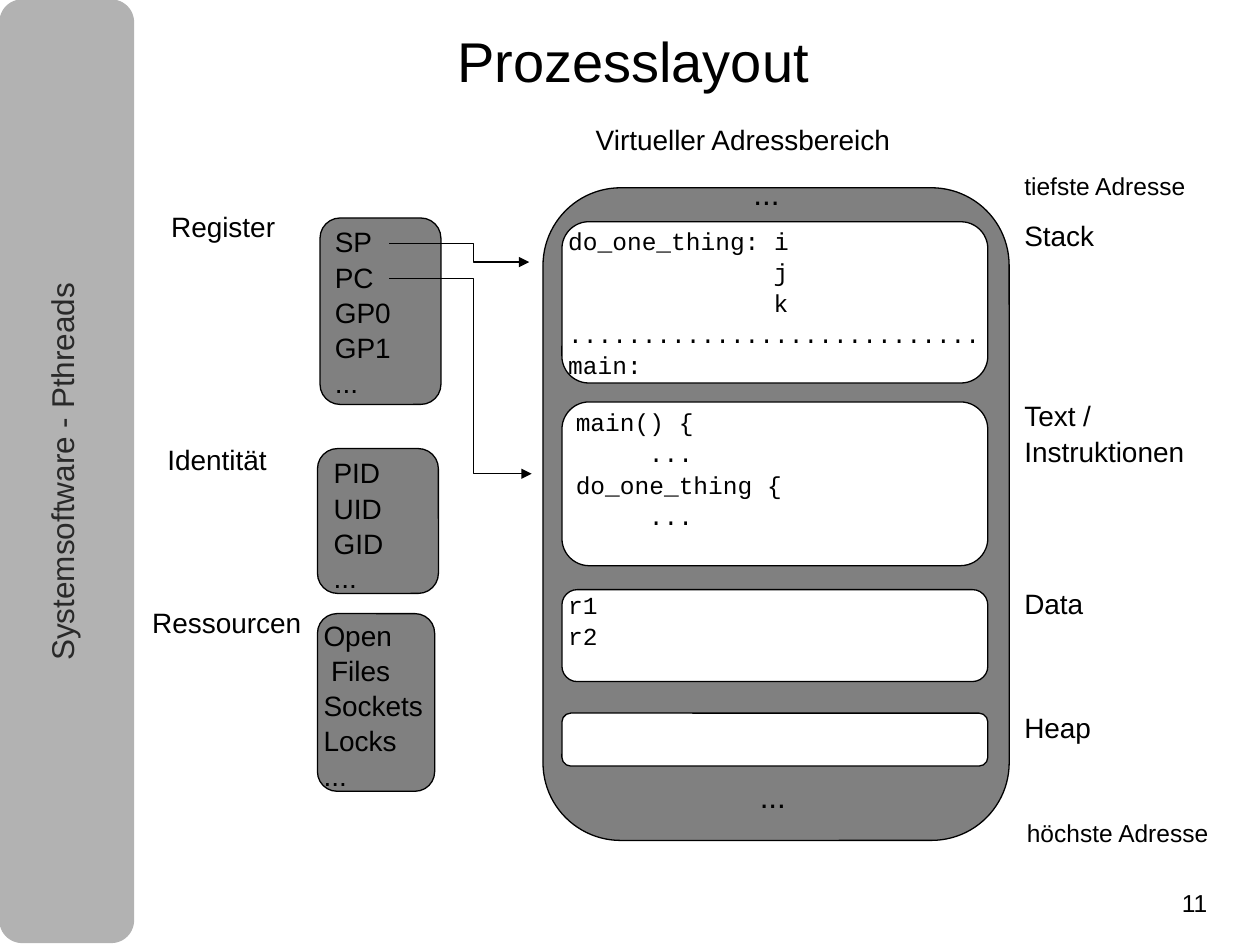
from pptx import Presentation
from pptx.dml.color import RGBColor
from pptx.enum.shapes import MSO_SHAPE
from pptx.enum.text import MSO_ANCHOR, PP_ALIGN
from pptx.util import Inches, Pt
from lxml import etree

BLACK = RGBColor(0x00, 0x00, 0x00)
WHITE = RGBColor(0xFF, 0xFF, 0xFF)
GRAY = RGBColor(0x80, 0x80, 0x80)
LIGHT_GRAY = RGBColor(0xB2, 0xB2, 0xB2)
DARK = RGBColor(0x29, 0x29, 0x29)
A = "http://schemas.openxmlformats.org/drawingml/2006/main"

prs = Presentation()
prs.slide_width, prs.slide_height = Inches(10), Inches(7.5)
s = prs.slides.add_slide(prs.slide_layouts[6])


def add_box(x, y, w, h, fill, line=BLACK):
    sp = s.shapes.add_shape(MSO_SHAPE.ROUNDED_RECTANGLE,
                            Inches(x), Inches(y), Inches(w), Inches(h))
    sp.shadow.inherit = False
    sp.fill.solid()
    sp.fill.fore_color.rgb = fill
    sp.line.color.rgb = line
    sp.line.width = Pt(0.75)


def add_text(x, y, w, h, lines, size=16, font="Arial", color=BLACK,
             inset=False, first=0.93, spacing=1.04):
    """Each line is a string, or a (string, left indent in inches) pair."""
    sp = s.shapes.add_textbox(Inches(x), Inches(y), Inches(w), Inches(h))
    tf = sp.text_frame
    tf.word_wrap = True
    tf.margin_left = tf.margin_right = Inches(0.1 if inset else 0)
    tf.margin_top = tf.margin_bottom = Inches(0.05 if inset else 0)
    for i, line in enumerate(lines):
        text, indent = line if isinstance(line, tuple) else (line, 0)
        p = tf.paragraphs[0] if i == 0 else tf.add_paragraph()
        p.text = text
        p.line_spacing = spacing if i else first
        p.font.size = Pt(size)
        p.font.name = font
        p.font.color.rgb = color
        if indent:
            p._p.get_or_add_pPr().set("marL", str(Inches(indent)))
    return sp


# Sidebar with the course name
add_box(0, 0, 1.06, 7.48, LIGHT_GRAY, LIGHT_GRAY)
sp = add_text(-3.18, 3.5, 7.48, 0.49, ["Systemsoftware - Pthreads"], 18,
              color=DARK, inset=True)
sp.rotation = 270
p = sp.text_frame.paragraphs[0]
p.alignment = PP_ALIGN.CENTER
p.space_before = Pt(12.9)

# Title
sp = add_text(3.53, 0.19, 3.28, 0.63, ["Prozesslayout"], 32, inset=True)
sp.text_frame.word_wrap = False
sp.text_frame.vertical_anchor = MSO_ANCHOR.MIDDLE

# Address space
add_box(4.31, 1.49, 3.7, 5.18, GRAY)
add_text(4.63, 0.95, 2.94, 0.36, ["Virtueller Adressbereich"], inset=True)

# Process attributes: label, label position, box, text position, entries
attributes = [
    ("Register", (1.26, 1.64), (2.54, 1.73, 0.96, 1.48), (2.56, 1.76),
     ["SP", "PC", "GP0", "GP1", "..."]),
    ("Identität", (1.23, 3.49), (2.52, 3.56, 0.96, 1.15), (2.55, 3.59),
     ["PID", "UID", "GID", "..."]),
    ("Ressourcen", (1.11, 4.78), (2.52, 4.87, 0.93, 1.41), (2.47, 4.88),
     ["Open", ("Files", 0.06), "Sockets", "Locks", "..."]),
]
for label, label_at, box, text_at, entries in attributes:
    add_text(*label_at, 1.51, 0.36, [label], inset=True)
    add_box(*box, GRAY)
    add_text(*text_at, 1.07, box[3], entries, inset=True)

# Memory segments: top, height, label lines, code position, code lines
segments = [
    (1.76, 1.28, ["Stack"], (4.51, 1.82),
     ["do_one_thing: i", ("j", 1.63), ("k", 1.63), "." * 28, "main:"]),
    (3.19, 1.3, ["Text /", "Instruktionen"], (4.57, 3.26),
     ["main() {", ("...", 0.58), "do_one_thing {", ("...", 0.58)]),
    (4.68, 0.73, ["Data"], (4.51, 4.71), ["r1", "r2"]),
    (5.66, 0.42, ["Heap"], None, []),
]
for top, height, label, code_at, code in segments:
    add_box(4.46, top, 3.38, height, WHITE)
    add_text(8.13, top, 1.54, 0.26 * len(label), label)
    if code:
        add_text(*code_at, 3.33, 0.23 * len(code), code, 14, "Courier New",
                 first=0.88, spacing=1.06)

# Omitted regions, address ends and slide number
for x, y, w, text, size in [(6.03, 6.19, 0.25, "...", 18),
                            (5.98, 1.41, 0.25, "...", 18),
                            (8.13, 1.38, 1.54, "tiefste Adresse", 14),
                            (8.15, 6.51, 1.54, "höchste Adresse", 14)]:
    add_text(x, y, w, 0.26, [text], size)
add_text(9.38, 7.05, 0.5, 0.32, ["11"], 14, first=1.0)

# Pointers from SP to the stack and from PC to the instructions
for y1, x2, y2 in [(1.93, 4.2, 2.08), (2.21, 4.22, 3.76)]:
    fb = s.shapes.build_freeform(Inches(3.09), Inches(y1))
    fb.add_line_segments([(Inches(x), Inches(y)) for x, y in
                          [(3.76, y1), (3.76, y2), (x2, y2)]], close=False)
    sp = fb.convert_to_shape()
    sp.shadow.inherit = False
    sp.fill.background()
    sp.line.color.rgb = BLACK
    sp.line.width = Pt(0.75)
    etree.SubElement(sp.line._get_or_add_ln(), f"{{{A}}}tailEnd", type="triangle")

prs.save("out.pptx")
